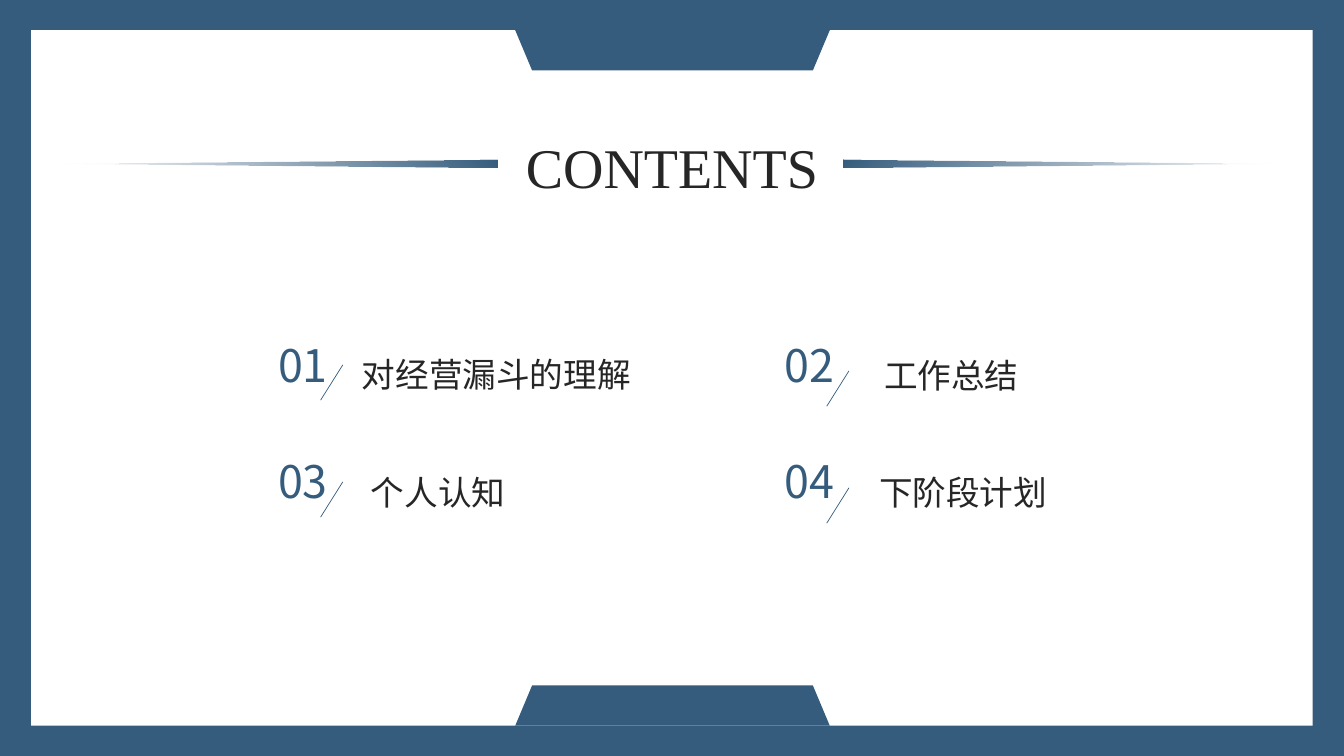
from lxml.etree import SubElement
from pptx import Presentation
from pptx.dml.color import RGBColor
from pptx.enum.shapes import MSO_CONNECTOR, MSO_SHAPE
from pptx.enum.text import MSO_AUTO_SIZE, PP_ALIGN
from pptx.oxml.ns import qn
from pptx.util import Emu, Pt

PIXEL = 9144
BLUE = RGBColor(0x35, 0x5C, 0x7D)
WHITE = RGBColor(0xFF, 0xFF, 0xFF)
INK = RGBColor(0x26, 0x26, 0x26)
SANS = "Noto Sans CJK SC"
SERIF = "Times New Roman"

COLUMN_STEP = 502
ROW_STEP = 116
SLASH_DROP = 6
ENTRIES = [
    ("对经营漏斗的理解", 349, 346, 299),
    ("工作总结", 867, 347, 176),
    ("个人认知", 358, 463, 173),
    ("下阶段计划", 862, 463, 209),
]


def px(*lengths):
    """Turn pixel lengths into EMU."""
    return [Emu(length * PIXEL) for length in lengths]


def add_block(page, preset, bounds, color):
    """Add a plain shape in one colour without outline."""
    block = page.shapes.add_shape(preset, *px(*bounds))
    block.shadow.inherit = False
    block.fill.solid()
    block.fill.fore_color.rgb = color
    block.line.fill.background()
    return block


def add_tab(page, top, flipped=False):
    """Add a trapezoid tab on the edge of the panel."""
    tab = add_block(page, MSO_SHAPE.TRAPEZOID, (511, top, 312, 40), BLUE)
    tab.adjustments[0] = 0.42
    if flipped:
        tab._element.spPr.find(qn("a:xfrm")).set("flipV", "1")


def add_ray(page, left, rotation, flipped=False):
    """Add a thin triangle that fades out towards its tip."""
    ray = add_block(page, MSO_SHAPE.ISOSCELES_TRIANGLE, (left, -52, 8, 428), BLUE)
    ray.rotation = rotation
    ray.fill.gradient()
    ray.fill.gradient_angle = 45
    for stop in ray.fill.gradient_stops:
        stop.color.rgb = BLUE
    properties = ray._element.spPr
    tip_color = list(properties.iter(qn("a:srgbClr")))[-1]
    SubElement(tip_color, qn("a:alpha")).set("val", "0")
    if flipped:
        properties.find(qn("a:xfrm")).set("flipH", "1")


def add_text(page, text, bounds, *, size, font=SANS, color=INK, align=PP_ALIGN.LEFT):
    """Add a one-line text box in the given format."""
    box = page.shapes.add_textbox(*px(*bounds))
    frame = box.text_frame
    frame.word_wrap = True
    frame.auto_size = MSO_AUTO_SIZE.SHAPE_TO_FIT_TEXT
    para = frame.paragraphs[0]
    para.alignment = align
    span = para.add_run()
    span.text = text
    span.font.size = Pt(size)
    span.font.name = font
    span.font.color.rgb = color
    SubElement(span.font._element, qn("a:ea")).set("typeface", font)


def add_slash(page, left, top):
    """Add the thin slanted line after a number."""
    slash = page.shapes.add_connector(
        MSO_CONNECTOR.STRAIGHT, *px(left + 22, top, left, top + 35)
    )
    slash.line.color.rgb = BLUE
    slash.line.width = Pt(0.5)
    SubElement(slash._element.spPr, qn("a:effectLst"))


def add_entry(page, index, title, left, top, width):
    """Add one numbered entry of the two-column list."""
    row, column = divmod(index, 2)
    shift = column * COLUMN_STEP
    number_bounds = (266 + shift, 330 + row * (ROW_STEP - 1), 87, 64)
    add_text(page, f"{index + 1:02}", number_bounds, size=32, color=BLUE)
    add_text(page, title, (left, top, width, 50), size=24, align=PP_ALIGN.JUSTIFY)
    add_slash(page, 318 + shift, 362 + row * ROW_STEP + column * SLASH_DROP)


def main():
    """Build the contents slide and save it."""
    deck = Presentation()
    deck.slide_width, deck.slide_height = px(1333, 750)
    page = deck.slides.add_slide(deck.slide_layouts[6])
    page.background.fill.solid()
    page.background.fill.fore_color.rgb = BLUE
    add_block(page, MSO_SHAPE.RECTANGLE, (31, 30, 1271, 690), WHITE)
    add_tab(page, 30, flipped=True)
    add_tab(page, 680)
    for index, entry in enumerate(ENTRIES):
        add_entry(page, index, *entry)
    add_text(page, "CONTENTS", (503, 127, 327, 77),
             size=40, font=SERIF, align=PP_ALIGN.CENTER)
    add_ray(page, 1047, 90)
    add_ray(page, 275, 270, flipped=True)
    deck.save("out.pptx")


if __name__ == "__main__":
    main()
